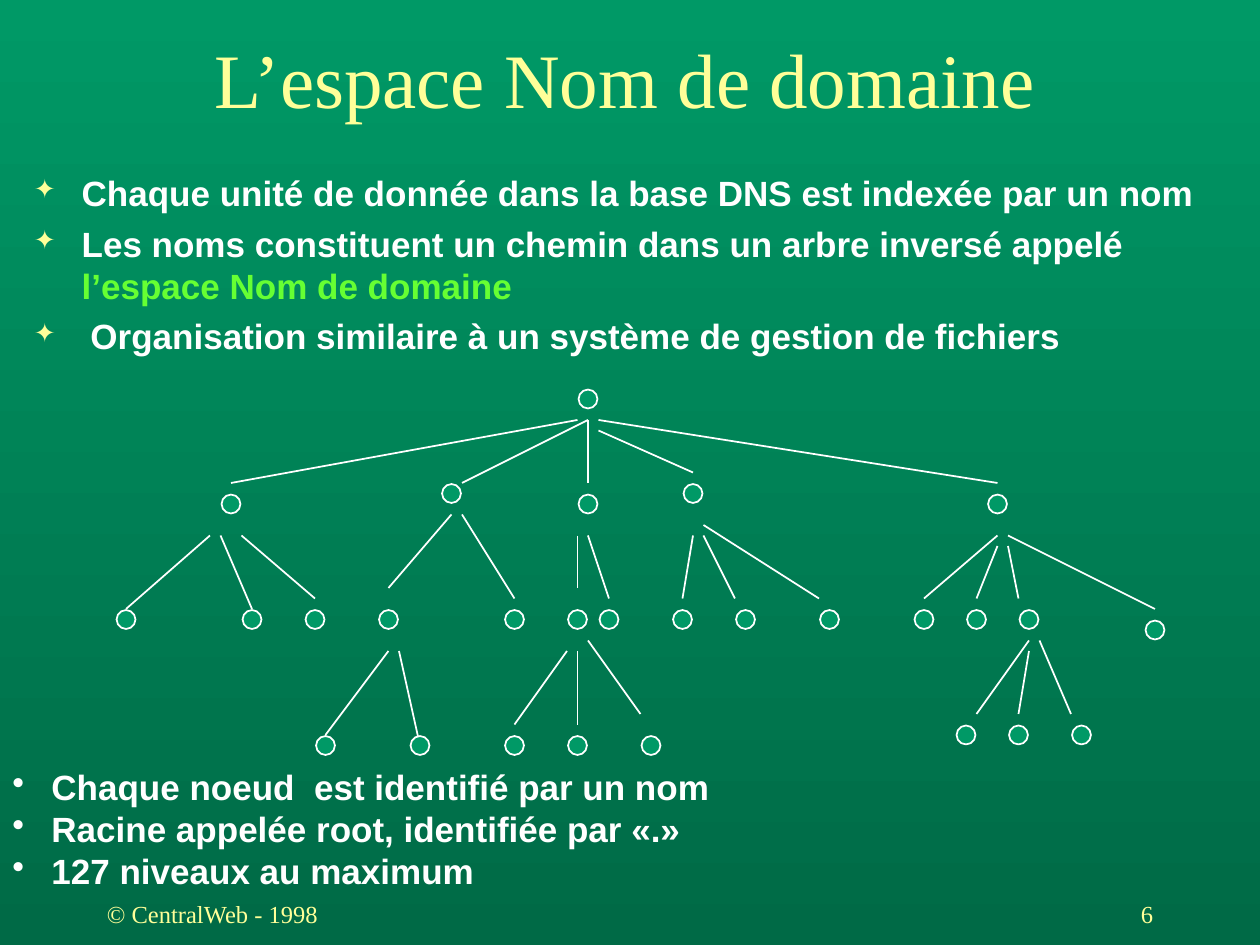
from dataclasses import dataclass
from typing import NamedTuple

from lxml import etree
from pptx import Presentation
from pptx.dml.color import RGBColor
from pptx.enum.shapes import MSO_CONNECTOR, MSO_SHAPE
from pptx.enum.text import MSO_ANCHOR, PP_ALIGN
from pptx.oxml.ns import qn
from pptx.util import Inches, Pt

WHITE, CREAM, LIME = "FFFFFF", "FFFF99", "66FF33"
GREEN, DARK_GREEN = "009966", "006A46"
CELL = 1 / 12  # the tree stands on a grid of 120 columns by 90 rows
NODE_SIZE = 0.15


class Point(NamedTuple):
    col: float
    row: float


@dataclass(frozen=True)
class Node:
    """A circle, and the branch that leads towards it from its parent."""
    center: Point
    start: Point
    end: Point


@dataclass(frozen=True)
class Label:
    text: str
    box: tuple[float, float, float, float]
    size: int
    align: PP_ALIGN


@dataclass(frozen=True)
class Bullet:
    text: str
    indent: float
    highlight: str = ""


@dataclass(frozen=True)
class BulletList:
    bullets: tuple[Bullet, ...]
    box: tuple[float, float, float, float]
    mark: str
    mark_color: str
    mark_percent: int
    gap: int


LABELS = (
    Label("L’espace Nom de domaine", (0.25, 0.23, 9.42, 0.77), 44, PP_ALIGN.CENTER),
    Label("6", (7.17, 7, 2.08, 0.5), 14, PP_ALIGN.RIGHT),
    Label("© CentralWeb - 1998", (0.75, 7, 2.08, 0.5), 14, PP_ALIGN.LEFT),
)

PRINCIPLES = BulletList((
    Bullet("Chaque unité de donnée dans la base DNS est indexée par un nom", 0.38),
    Bullet("Les noms constituent un chemin dans un arbre inversé appelé ", 0.38,
           "l’espace Nom de domaine"),
    Bullet("Organisation similaire à un système de gestion de fichiers", 0.45),
), (0.17, 1.31, 9.67, 1.69), "✦", CREAM, 75, 5)

NODE_RULES = BulletList((
    Bullet("Chaque noeud  est identifié par un nom", 0.31),
    Bullet("Racine appelée root, identifiée par «.»", 0.31),
    Bullet("127 niveaux au maximum", 0.31),
), (0, 6.03, 5.85, 1.1), "•", WHITE, 100, 0)

ROOT = Point(56, 38)
# Each node: its center, then the start and the end of its branch
TREE = tuple(Node(*(Point(*place) for place in places)) for places in (
    # First level
    ((22, 48), (55, 40), (22, 46)),
    ((43, 47), (56, 40), (44, 46)),
    ((56, 48), (56, 40), (56, 46)),
    ((66, 47), (57, 41), (66, 45)),
    ((95, 48), (57, 40), (95, 46)),
    # Second level
    ((12, 59), (20, 51), (12, 58)),
    ((24, 59), (21, 51), (24, 58)),
    ((30, 59), (23, 51), (30, 57)),
    ((37, 59), (43, 49), (37, 56)),
    ((49, 59), (44, 49), (49, 57)),
    ((55, 59), (55, 51), (55, 56)),
    ((58, 59), (56, 51), (58, 57)),
    ((65, 59), (66, 51), (65, 57)),
    ((71, 59), (67, 51), (70, 57)),
    ((79, 59), (67, 50), (78, 57)),
    ((88, 59), (95, 51), (88, 57)),
    ((93, 59), (95, 52), (93, 57)),
    ((98, 59), (96, 52), (97, 57)),
    ((110, 60), (96, 51), (110, 58)),
    # Third level
    ((31, 71), (37, 62), (31, 70)),
    ((40, 71), (38, 62), (40, 71)),
    ((49, 71), (54, 62), (49, 69)),
    ((55, 71), (55, 62), (55, 69)),
    ((62, 71), (56, 61), (61, 68)),
    ((92, 70), (98, 61), (93, 68)),
    ((97, 70), (98, 62), (97, 68)),
    ((103, 70), (99, 61), (102, 68)),
))


def rgb(color: str) -> RGBColor:
    return RGBColor.from_string(color)


def paint_background(slide) -> None:
    fill = slide.background.fill
    fill.gradient()
    fill.gradient_angle = 270
    for stop, color, position in zip(fill.gradient_stops, (GREEN, DARK_GREEN), (0, 1)):
        stop.color.rgb = rgb(color)
        stop.position = position


def add_frame(slide, box: tuple[float, float, float, float]):
    frame = slide.shapes.add_textbox(*map(Inches, box)).text_frame
    frame.word_wrap = True
    return frame


def style(paragraph, name: str, size: int, color: str, bold: bool = False) -> None:
    font = paragraph.font
    font.name, font.size, font.bold = name, Pt(size), bold
    font.color.rgb = rgb(color)


def draw_label(slide, label: Label) -> None:
    frame = add_frame(slide, label.box)
    frame.vertical_anchor = MSO_ANCHOR.MIDDLE
    line = frame.paragraphs[0]
    line.text, line.alignment = label.text, label.align
    style(line, "Times New Roman", label.size, CREAM)


def set_bullet(paragraph, listing: BulletList, indent: float) -> None:
    properties = paragraph._p.get_or_add_pPr()
    properties.set("marL", str(Inches(indent)))
    properties.set("indent", str(-Inches(indent)))
    color = etree.SubElement(properties, qn("a:buClr"))
    etree.SubElement(color, qn("a:srgbClr"), val=listing.mark_color)
    etree.SubElement(properties, qn("a:buSzPct"), val=str(listing.mark_percent * 1000))
    etree.SubElement(properties, qn("a:buChar"), char=listing.mark)


def draw_bullets(slide, listing: BulletList) -> None:
    frame = add_frame(slide, listing.box)
    for index, bullet in enumerate(listing.bullets):
        line = frame.add_paragraph() if index else frame.paragraphs[0]
        if index:
            line.space_before = Pt(listing.gap)
        set_bullet(line, listing, bullet.indent)
        style(line, "Arial", 20, WHITE, bold=True)
        line.add_run().text = bullet.text
        if bullet.highlight:
            highlight = line.add_run()
            highlight.text = bullet.highlight
            highlight.font.color.rgb = rgb(LIME)


def draw_branch(slide, start: Point, end: Point) -> None:
    places = (Inches(place * CELL) for place in (*start, *end))
    branch = slide.shapes.add_connector(MSO_CONNECTOR.STRAIGHT, *places)
    branch.line.color.rgb, branch.line.width = rgb(WHITE), Pt(1)
    etree.SubElement(branch._element.spPr, qn("a:effectLst"))


def draw_node(slide, center: Point) -> None:
    left, top = (Inches(place * CELL - NODE_SIZE / 2) for place in center)
    side = Inches(NODE_SIZE)
    circle = slide.shapes.add_shape(MSO_SHAPE.OVAL, left, top, side, side)
    circle.shadow.inherit = False
    circle.fill.solid()
    circle.fill.fore_color.rgb = rgb(GREEN)
    circle.line.color.rgb, circle.line.width = rgb(WHITE), Pt(1)


def main() -> None:
    deck = Presentation()
    deck.slide_width, deck.slide_height = Inches(10), Inches(7.5)
    slide = deck.slides.add_slide(deck.slide_layouts[6])
    paint_background(slide)
    for label in LABELS:
        draw_label(slide, label)
    for listing in (PRINCIPLES, NODE_RULES):
        draw_bullets(slide, listing)
    for node in TREE:
        draw_branch(slide, node.start, node.end)
    for center in (ROOT, *(node.center for node in TREE)):
        draw_node(slide, center)
    deck.save("out.pptx")


if __name__ == "__main__":
    main()
